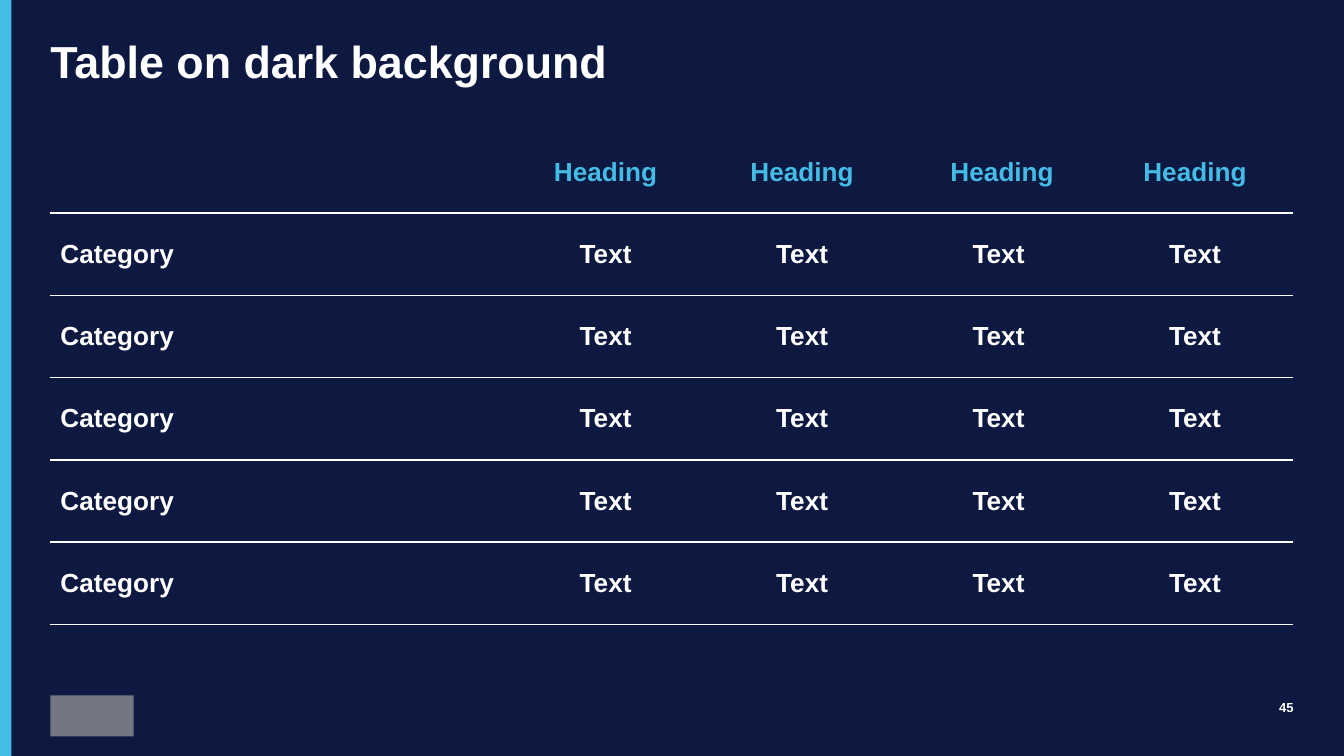
from dataclasses import dataclass

from lxml import etree
from pptx import Presentation
from pptx.dml.color import RGBColor
from pptx.enum.shapes import MSO_SHAPE
from pptx.enum.text import MSO_ANCHOR, PP_ALIGN
from pptx.oxml.ns import qn
from pptx.slide import Slide
from pptx.table import _Cell
from pptx.text.text import _Paragraph
from pptx.util import Emu, Inches, Pt

RECT = MSO_SHAPE.RECTANGLE
TOP, MID = MSO_ANCHOR.TOP, MSO_ANCHOR.MIDDLE
LEFT, MIDDLE, RIGHT = PP_ALIGN.LEFT, PP_ALIGN.CENTER, PP_ALIGN.RIGHT
WIDE = Inches(10)
HIGH = Emu(WIDE * 9 // 16)


@dataclass(frozen=True)
class Theme:
    face: str = "Arial"
    back: str = "0E1941"
    sky: str = "45BCE5"
    white: str = "FFFFFF"
    grey: str = "737784"
    title: int = 24
    body: int = 14
    small: int = 7
    rule: int = 1


@dataclass(frozen=True)
class Box:
    """Place and size in percent of the slide."""
    x: float
    y: float
    w: float
    h: float

    def frame(self) -> tuple[Emu, Emu, Emu, Emu]:
        return across(self.x), down(self.y), across(self.w), down(self.h)


@dataclass(frozen=True)
class Label:
    text: str
    box: Box
    size: int
    align: PP_ALIGN
    anchor: MSO_ANCHOR
    space: float


THEME = Theme()
BARS = [
    (Box(0, 0, 0.85, 100), THEME.sky),
    (Box(3.75, 92, 6.2, 5.4), THEME.grey),
]
LABELS = [
    Label("Table on dark background", Box(3.75, 5.33, 92.5, 8.71),
          THEME.title, LEFT, TOP, 0.9),
    Label("45", Box(90.3, 92, 5.95, 3.2), THEME.small, RIGHT, MID, 1.0),
]
GRID = Box(3.75, 17.3, 92.5, 65.33)
FIRST, OTHER = 34, 14.62
HEADS = ["", "Heading", "Heading", " Heading", "Heading"]
ROWS = [HEADS] + [["Category"] + ["Text"] * 4] * 5


def across(share: float) -> Emu:
    return Emu(round(WIDE * share / 100))


def down(share: float) -> Emu:
    return Emu(round(HIGH * share / 100))


def style(para: _Paragraph, size: int, tint: str, align: PP_ALIGN) -> None:
    para.alignment = align
    font = para.font
    font.name, font.size, font.bold = THEME.face, Pt(size), True
    font.color.rgb = RGBColor.from_string(tint)


def draw_bar(slide: Slide, box: Box, tint: str) -> None:
    bar = slide.shapes.add_shape(RECT, *box.frame())
    bar.shadow.inherit = False
    bar.fill.solid()
    bar.fill.fore_color.rgb = RGBColor.from_string(tint)
    bar.line.fill.background()


def draw_label(slide: Slide, label: Label) -> None:
    frame = slide.shapes.add_textbox(*label.box.frame()).text_frame
    frame.word_wrap = True
    frame.vertical_anchor = label.anchor
    frame.margin_left = frame.margin_right = 0
    frame.margin_top = frame.margin_bottom = 0
    para = frame.paragraphs[0]
    para.text = label.text
    para.line_spacing = label.space
    style(para, label.size, THEME.white, label.align)


def edge_cell(cell: _Cell, ruled: dict[str, bool]) -> None:
    props = cell._tc.get_or_add_tcPr()
    for spot, (side, shown) in enumerate(ruled.items()):
        line = etree.Element(qn(f"a:{side}"), w=str(Pt(THEME.rule)))
        if shown:
            fill = etree.SubElement(line, qn("a:solidFill"))
            etree.SubElement(fill, qn("a:srgbClr"), val=THEME.white)
        else:
            etree.SubElement(line, qn("a:noFill"))
        props.insert(spot, line)


def fill_cell(cell: _Cell, text: str, row: int, col: int) -> None:
    cell.fill.background()
    cell.vertical_anchor = MID
    cell.margin_left = cell.margin_right = Pt(5.4)
    cell.margin_top = cell.margin_bottom = Pt(2.7)
    para = cell.text_frame.paragraphs[0]
    para.text = text
    style(para, THEME.body, THEME.white if row else THEME.sky,
          MIDDLE if col else LEFT)
    edge_cell(cell, {"lnL": False, "lnR": False, "lnT": row > 0, "lnB": True})


def draw_table(slide: Slide) -> None:
    table = slide.shapes.add_table(
        len(ROWS), len(HEADS), *GRID.frame()).table
    table.first_row = table.horz_banding = False
    for col, column in enumerate(table.columns):
        column.width = across(OTHER if col else FIRST)
    for row, texts in enumerate(ROWS):
        for col, text in enumerate(texts):
            fill_cell(table.cell(row, col), text, row, col)


def main() -> None:
    deck = Presentation()
    deck.slide_width, deck.slide_height = WIDE, HIGH
    slide = deck.slides.add_slide(deck.slide_layouts[6])
    slide.background.fill.solid()
    slide.background.fill.fore_color.rgb = RGBColor.from_string(THEME.back)
    for box, tint in BARS:
        draw_bar(slide, box, tint)
    for label in LABELS:
        draw_label(slide, label)
    draw_table(slide)
    deck.save("out.pptx")


if __name__ == "__main__":
    main()
